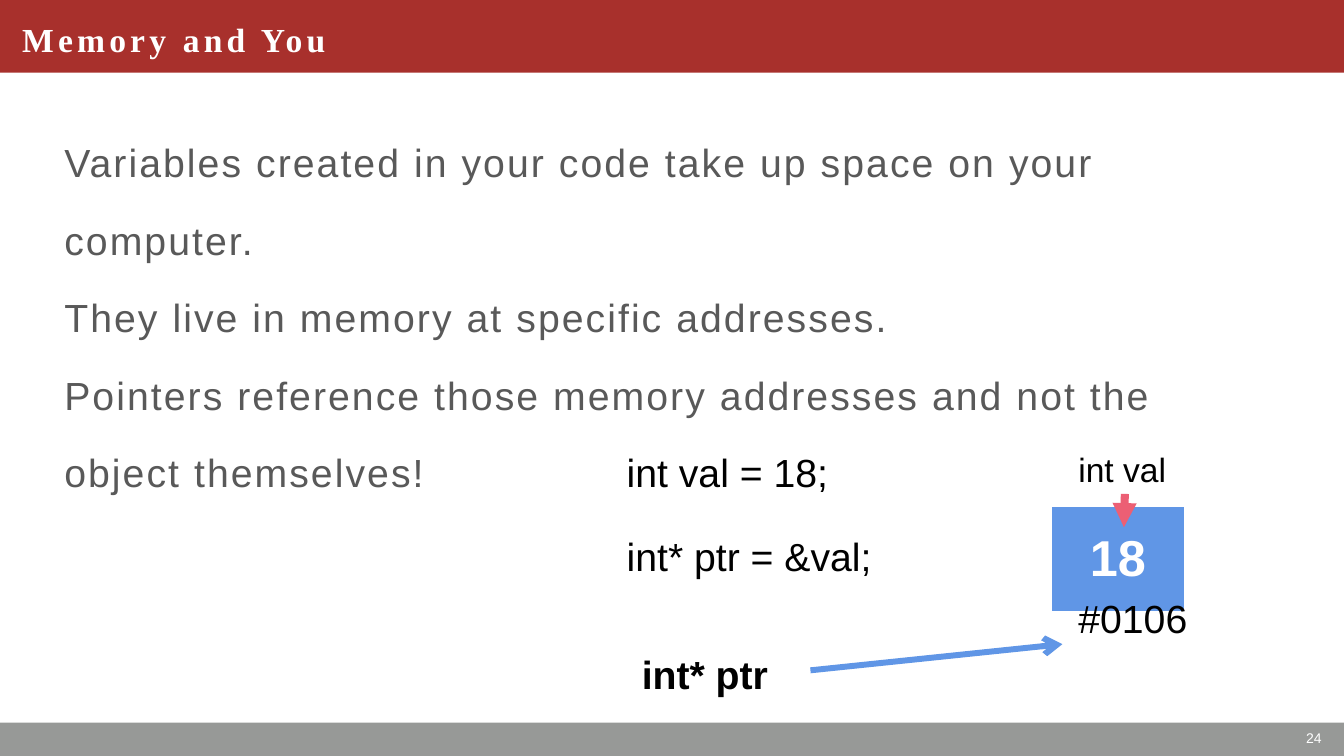
from dataclasses import dataclass

from lxml.etree import SubElement
from pptx import Presentation
from pptx.dml.color import RGBColor
from pptx.enum.shapes import MSO_CONNECTOR, MSO_SHAPE
from pptx.enum.text import MSO_ANCHOR, PP_ALIGN
from pptx.oxml.ns import qn
from pptx.slide import Slide
from pptx.text.text import TextFrame
from pptx.util import Pt

WHITE = "FFFFFF"
BLACK = "000000"
RED = "A8302C"
GRAY = "979997"
BODY_GRAY = "595959"
BLUE = "6096E6"
PINK = "EC5F74"


@dataclass(frozen=True)
class Box:
    left: float
    top: float
    width: float
    height: float

    def lengths(self) -> tuple[Pt, Pt, Pt, Pt]:
        return Pt(self.left), Pt(self.top), Pt(self.width), Pt(self.height)


@dataclass(frozen=True)
class TextStyle:
    size: float
    color: str = BLACK
    bold: bool = False
    font: str = "Arial"
    tracking: float = 0
    alignment: PP_ALIGN = PP_ALIGN.LEFT
    anchor: MSO_ANCHOR = MSO_ANCHOR.TOP
    line_spacing: float = 1
    space_after: float = 0


@dataclass(frozen=True)
class Label:
    box: Box
    lines: tuple[str, ...]
    style: TextStyle


@dataclass(frozen=True)
class Arrow:
    start: tuple[float, float]
    end: tuple[float, float]
    color: str
    width: float
    head: str


BARS = (
    (Box(0, 516.2, 960, 23.8), GRAY),
    (Box(0, 0, 960, 52), RED),
)
TITLE = Label(
    Box(8.6, 0, 511.2, 55.4),
    ("Memory and You",),
    TextStyle(24, WHITE, True, "Times New Roman", 3, anchor=MSO_ANCHOR.MIDDLE),
)
CODE = TextStyle(28)
LABELS = (
    Label(
        Box(38.9, 83.5, 864, 374.4),
        (
            "Variables created in your code take up space on your",
            "computer.",
            "They live in memory at specific addresses.",
            "Pointers reference those memory addresses and not the",
            "object themselves!",
        ),
        TextStyle(28, BODY_GRAY, tracking=1.5, line_spacing=1.35, space_after=10),
    ),
    Label(
        Box(738.7, 514.8, 212.4, 25.2),
        ("24",),
        TextStyle(10, WHITE, alignment=PP_ALIGN.RIGHT, anchor=MSO_ANCHOR.MIDDLE),
    ),
    Label(Box(440.6, 316.8, 229.7, 59.8), ("int val = 18;",), CODE),
    Label(Box(440.6, 376.6, 191.5, 61.2), ("int* ptr = &val;",), CODE),
    Label(Box(763.2, 316.8, 83.5, 40.3), ("int val",), TextStyle(24)),
    Label(Box(763.2, 421.2, 97.2, 36), ("#0106",), CODE),
    Label(Box(451.4, 460.8, 127.4, 34.6), ("int* ptr",), TextStyle(28, bold=True)),
)
MEMORY_CELL = Label(
    Box(751, 361.4, 95, 76.3),
    ("18",),
    TextStyle(36, WHITE, True, alignment=PP_ALIGN.CENTER, anchor=MSO_ANCHOR.MIDDLE),
)
CELL_BORDERS = {"a:lnL": 1, "a:lnR": 1, "a:lnT": 1, "a:lnB": 3}
ARROWS = (
    Arrow((803.5, 352.8), (802.8, 376.6), PINK, 5.75, "triangle"),
    Arrow((578.9, 478.8), (758.9, 460.1), BLUE, 4.25, "arrow"),
)


def rgb(color: str) -> RGBColor:
    return RGBColor.from_string(color)


def write_text(frame: TextFrame, lines: tuple[str, ...], style: TextStyle) -> None:
    frame.text = "\n".join(lines)
    for paragraph in frame.paragraphs:
        paragraph.alignment = style.alignment
        paragraph.line_spacing = style.line_spacing
        paragraph.space_before = Pt(0)
        paragraph.space_after = Pt(style.space_after)
        paragraph.font.size = Pt(style.size)
        paragraph.font.name = style.font
        paragraph.font.bold = style.bold
        paragraph.font.color.rgb = rgb(style.color)
        if style.tracking:
            for run in paragraph.runs:
                properties = run._r.get_or_add_rPr()
                properties.set("spc", str(round(style.tracking * 100)))


def add_bar(slide: Slide, box: Box, color: str) -> None:
    bar = slide.shapes.add_shape(MSO_SHAPE.RECTANGLE, *box.lengths())
    bar.shadow.inherit = False
    bar.fill.solid()
    bar.fill.fore_color.rgb = rgb(color)
    bar.line.fill.background()


def place_title(slide: Slide, label: Label) -> None:
    title = slide.shapes.title
    title.left, title.top, title.width, title.height = label.box.lengths()
    title.text_frame.vertical_anchor = label.style.anchor
    write_text(title.text_frame, label.lines, label.style)


def add_label(slide: Slide, label: Label) -> None:
    frame = slide.shapes.add_textbox(*label.box.lengths()).text_frame
    frame.word_wrap = True
    frame.vertical_anchor = label.style.anchor
    write_text(frame, label.lines, label.style)


def add_memory_cell(slide: Slide, label: Label) -> None:
    table = slide.shapes.add_table(1, 1, *label.box.lengths()).table
    cell = table.cell(0, 0)
    properties = cell._tc.get_or_add_tcPr()
    for tag, width in CELL_BORDERS.items():
        border = SubElement(properties, qn(tag), w=str(Pt(width)))
        fill = SubElement(border, qn("a:solidFill"))
        SubElement(fill, qn("a:srgbClr"), val=WHITE)
    cell.fill.solid()
    cell.fill.fore_color.rgb = rgb(BLUE)
    cell.vertical_anchor = label.style.anchor
    write_text(cell.text_frame, label.lines, label.style)


def add_arrow(slide: Slide, arrow: Arrow) -> None:
    points = [Pt(value) for value in arrow.start + arrow.end]
    connector = slide.shapes.add_connector(MSO_CONNECTOR.STRAIGHT, *points)
    connector.line.color.rgb = rgb(arrow.color)
    connector.line.width = Pt(arrow.width)
    SubElement(connector.line._get_or_add_ln(), qn("a:tailEnd"), type=arrow.head)
    SubElement(connector._element.spPr, qn("a:effectLst"))


def main() -> None:
    presentation = Presentation()
    presentation.slide_width = Pt(960)
    presentation.slide_height = Pt(540)
    slide = presentation.slides.add_slide(presentation.slide_layouts[5])
    for box, color in BARS:
        add_bar(slide, box, color)
    title_element = slide.shapes.title._element
    title_element.getparent().append(title_element)
    place_title(slide, TITLE)
    add_memory_cell(slide, MEMORY_CELL)
    for label in LABELS:
        add_label(slide, label)
    for arrow in ARROWS:
        add_arrow(slide, arrow)
    presentation.save("out.pptx")


if __name__ == "__main__":
    main()
